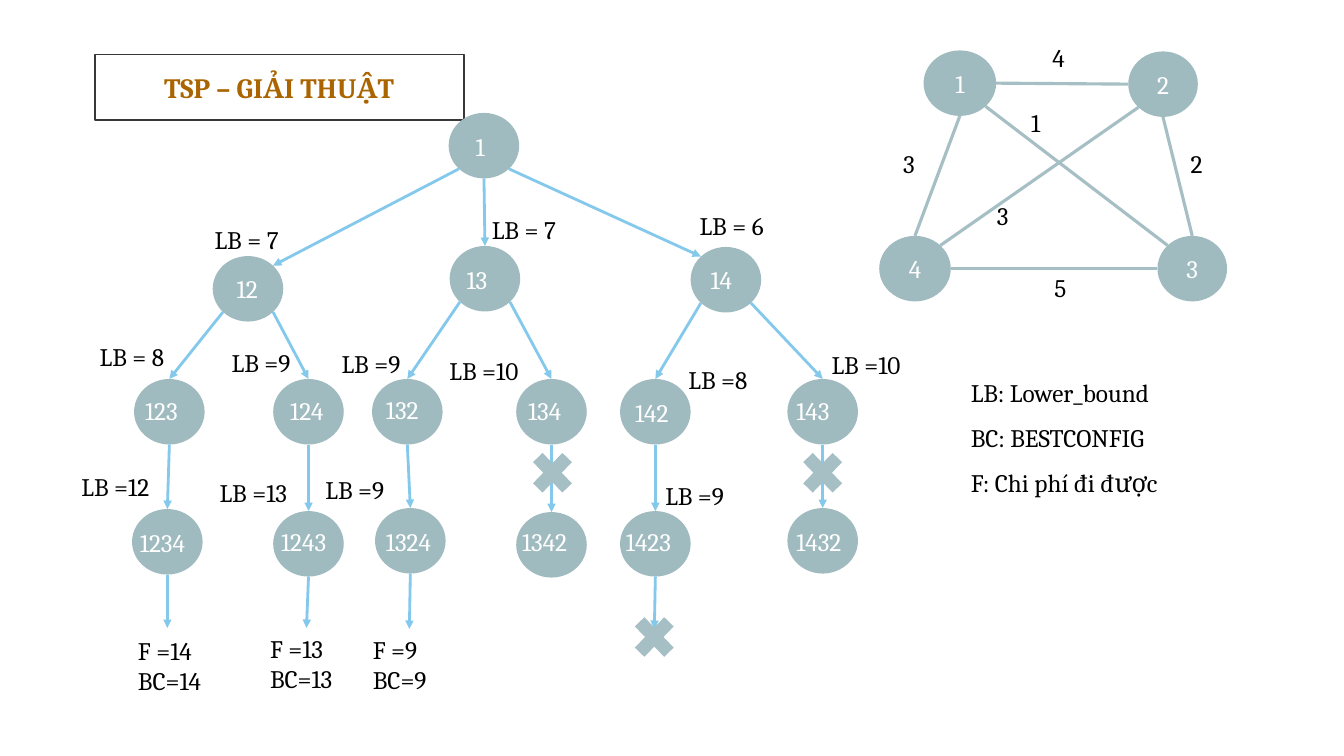
from math import sqrt

from lxml import etree
from pptx import Presentation
from pptx.dml.color import RGBColor
from pptx.enum.shapes import MSO_CONNECTOR, MSO_SHAPE
from pptx.enum.text import MSO_ANCHOR, MSO_AUTO_SIZE, PP_ALIGN
from pptx.oxml.ns import qn
from pptx.util import Inches, Pt

STRAIGHT = MSO_CONNECTOR.STRAIGHT
RECTANGLE, OVAL, CROSS = MSO_SHAPE.RECTANGLE, MSO_SHAPE.OVAL, MSO_SHAPE.MATH_MULTIPLY
CENTER, MIDDLE = PP_ALIGN.CENTER, MSO_ANCHOR.MIDDLE
FIT_TEXT = MSO_AUTO_SIZE.SHAPE_TO_FIT_TEXT

COLORS = {
    "white": "FFFFFF", "black": "000000", "title": "AA6500", "frame": "383838",
    "node": "A0BBC0", "edge": "A6BFC4", "arrow": "84C9EC",
}
BODY = {"name": "Cambria", "size": Pt(18)}
TITLE = {"name": "Cambria", "size": Pt(20), "bold": True}
DIAGONAL = sqrt(0.5)
SITES = {
    "top": (0, -1), "bottom": (0, 1), "left": (-1, 0), "right": (1, 0),
    "top left": (-DIAGONAL, -DIAGONAL), "top right": (DIAGONAL, -DIAGONAL),
    "bottom left": (-DIAGONAL, DIAGONAL), "bottom right": (DIAGONAL, DIAGONAL),
}
NODE_WIDTH, NODE_HEIGHT = 0.7, 0.65
LABEL_HEIGHT = 0.4

# name: node position, number offset
TREE_NODES = {
    "1": (3.75, 0.02, 0.17, 0.13),
    "12": (1.41, 1.44, 0.14, 0.12),
    "13": (3.76, 1.34, 0.07, 0.13),
    "14": (6.15, 1.35, 0.1, 0.12),
    "123": (0.63, 2.66, 0.01, 0.11),
    "124": (2.01, 2.66, 0.07, 0.11),
    "132": (2.99, 2.66, 0.04, 0.1),
    "134": (4.42, 2.66, 0.02, 0.11),
    "142": (5.45, 2.66, 0.05, 0.13),
    "143": (7.11, 2.66, -0.01, 0.11),
    "1234": (0.61, 3.95, -0.02, 0.13),
    "1243": (2.01, 3.97, -0.02, 0.1),
    "1324": (3.02, 3.94, 0.01, 0.13),
    "1342": (4.42, 3.98, -0.04, 0.09),
    "1423": (5.45, 3.97, -0.04, 0.1),
    "1432": (7.11, 3.94, -0.01, 0.13),
}
BRANCH_SITES = {
    "12": ("bottom left", "top right"), "14": ("bottom right", "top left"),
    "123": ("bottom left", "top"), "124": ("bottom right", "top"),
    "132": ("bottom left", "top"), "134": ("bottom right", "top"),
    "142": ("bottom left", "top"), "143": ("bottom right", "top"),
}
BOUNDS = [
    ("LB = 7", 1.33, 1.08), ("LB = 7", 4.08, 0.98), ("LB = 6", 6.14, 0.94),
    ("LB = 8", 0.19, 2.24), ("LB =9", 1.5, 2.3), ("LB =9", 2.59, 2.31),
    ("LB =10", 3.66, 2.38), ("LB =8", 6.03, 2.47), ("LB =10", 7.45, 2.32),
    ("LB =12", 0.01, 3.53), ("LB =13", 1.38, 3.59), ("LB =9", 2.43, 3.56),
    ("LB =9", 5.8, 3.62),
]
RESULTS = [
    ("F =14\nBC=14", 0.57, 5.15), ("F =13\nBC=13", 1.88, 5.13), ("F =9\nBC=9", 2.9, 5.14),
]
LEAF_ENDS = {"1234": (0.96, 5.13), "1243": (2.34, 5.13), "1324": (3.36, 5.14), "1423": (5.79, 5.14)}
PRUNED = [(7.18, 3.3), (4.5, 3.3), (5.51, 4.93)]

GRAPH_NODES = {
    "1": (0.46, 0.15, 0.72), "2": (2.49, 0.16, 0.69),
    "4": (0.02, 1.99, 0.71), "3": (2.78, 1.99, 0.69),
}
GRAPH_EDGES = [
    ("1", "right", "2", "left", "4", 1.64, 0.02),
    ("4", "right", "3", "left", "5", 1.66, 2.3),
    ("1", "bottom", "4", "top", "3", 0.16, 1.07),
    ("2", "bottom", "3", "top", "2", 3.01, 1.07),
    ("1", "bottom right", "3", "top left", "1", 1.43, 0.67),
    ("4", "top right", "2", "bottom left", "3", 1.09, 1.59),
]


def color(name):
    return RGBColor.from_string(COLORS[name])


def write(shape, text, font_color, font=BODY, **paragraph_format):
    shape.text_frame.text = text
    for paragraph in shape.text_frame.paragraphs:
        for name, value in paragraph_format.items():
            setattr(paragraph, name, value)
        for run in paragraph.runs:
            for name, value in font.items():
                setattr(run.font, name, value)
            run.font.color.rgb = color(font_color)


def add_label(slide, text, left, top, width, height=LABEL_HEIGHT, font_color="black", wrap=True, **paragraph_format):
    label = slide.shapes.add_textbox(Inches(left), Inches(top), Inches(width), Inches(height))
    write(label, text, font_color, **paragraph_format)
    label.text_frame.word_wrap = wrap
    label.text_frame.auto_size = FIT_TEXT


def add_solid(slide, kind, left, top, width, height, fill):
    shape = slide.shapes.add_shape(kind, Inches(left), Inches(top), Inches(width), Inches(height))
    shape.shadow.inherit = False
    shape.fill.solid()
    shape.fill.fore_color.rgb = color(fill)
    shape.line.fill.background()
    shape.text_frame.vertical_anchor = MIDDLE
    return shape


def site_point(node, site):
    across, down = SITES[site]
    return (int(node.left + node.width * (1 + across) / 2),
            int(node.top + node.height * (1 + down) / 2))


def add_link(slide, start, end, line_color, width, arrow=False):
    link = slide.shapes.add_connector(STRAIGHT, *start, *end)
    link.line.width = Pt(width)
    link.line.color.rgb = color(line_color)
    properties = link._element.spPr
    if arrow:
        etree.SubElement(properties.find(qn("a:ln")), qn("a:tailEnd"), type="triangle")
    etree.SubElement(properties, qn("a:effectLst"))


def add_title(slide, left, top, width, height):
    title = add_solid(slide, RECTANGLE, left, top, width, height, "white")
    title.line.color.rgb = color("frame")
    title.line.width = Pt(1.25)
    write(title, "TSP – GIẢI THUẬT", "title", TITLE, alignment=CENTER)


def add_graph(slide, left, top):
    nodes = {}
    for name, (x, y, width) in GRAPH_NODES.items():
        nodes[name] = add_solid(slide, OVAL, left + x, top + y, width, NODE_HEIGHT, "node")
        write(nodes[name], name, "white", alignment=CENTER)
    for first, start, second, end, cost, x, y in GRAPH_EDGES:
        add_link(slide, site_point(nodes[first], start), site_point(nodes[second], end), "edge", 2.25)
        add_label(slide, cost, left + x, top + y, 0.34, wrap=False)


def add_tree(slide, left, top):
    nodes = {}
    for name, (x, y, _, _) in TREE_NODES.items():
        nodes[name] = add_solid(slide, OVAL, left + x, top + y, NODE_WIDTH, NODE_HEIGHT, "node")
    for name, node in nodes.items():
        if name[:-1] in nodes:
            start, end = BRANCH_SITES.get(name, ("bottom", "top"))
            add_link(slide, site_point(nodes[name[:-1]], start), site_point(node, end), "arrow", 2, True)
    for name, (x, y) in LEAF_ENDS.items():
        add_link(slide, site_point(nodes[name], "bottom"), (Inches(left + x), Inches(top + y)), "arrow", 2, True)
    for name, (x, y, across, down) in TREE_NODES.items():
        width = 0.53 if len(name) < 3 else 0.83
        add_label(slide, name, left + x + across, top + y + down, width, font_color="white")
    for text, x, y in BOUNDS:
        add_label(slide, text, left + x, top + y, 1.2)
    for text, x, y in RESULTS:
        add_label(slide, text, left + x, top + y, 1, 0.71)
    for x, y in PRUNED:
        add_solid(slide, CROSS, left + x, top + y, 0.56, 0.58, "edge")


def add_legend(slide, left, top, width, height):
    text = "LB: Lower_bound\nBC: BESTCONFIG\nF: Chi phí đi được"
    add_label(slide, text, left, top, width, height, line_spacing=1.5)


def main():
    presentation = Presentation()
    presentation.slide_width = Inches(13.33)
    presentation.slide_height = Inches(7.5)
    slide = presentation.slides.add_slide(presentation.slide_layouts[6])
    add_title(slide, 0.94, 0.54, 3.66, 0.65)
    add_graph(slide, 8.7, 0.35)
    add_tree(slide, 0.7, 1.1)
    add_legend(slide, 9.53, 3.54, 3.11, 1.41)
    presentation.save("out.pptx")


if __name__ == "__main__":
    main()
